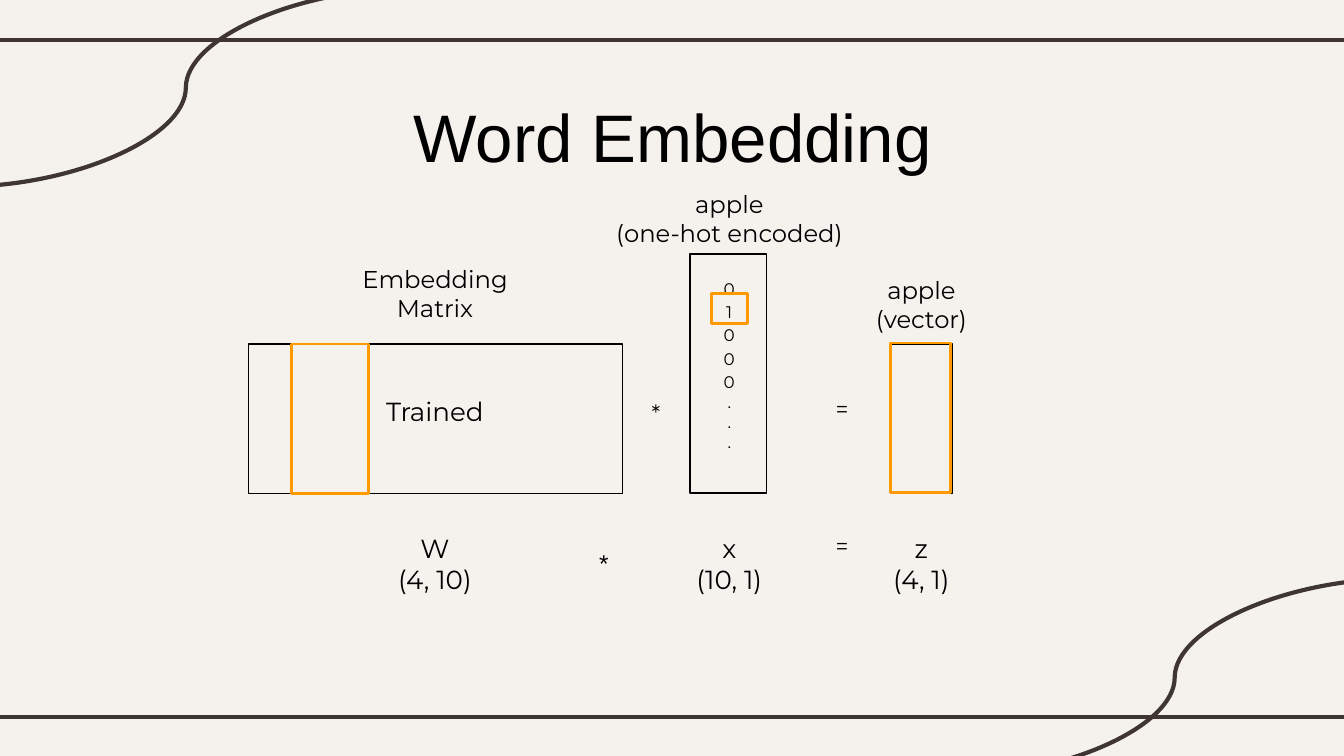
from pptx import Presentation
from pptx.dml.color import RGBColor
from pptx.enum import shapes, text
from pptx.oxml.ns import qn
from pptx.util import Pt
from lxml import etree

INK, BLACK, ORANGE, PAPER = "3F3533", "000000", "FF9900", "F5F2EE"
SANS, BODY = "Arial", "Montserrat"
MATRIX_X, ONE_HOT_X, EQUALS_X, VECTOR_X = 233, 390.7, 451.1, 493.6
CENTER, LEFT = text.PP_ALIGN.CENTER, text.PP_ALIGN.LEFT
STRAIGHT, CURVE = shapes.MSO_CONNECTOR.STRAIGHT, shapes.MSO_CONNECTOR.CURVE

TITLE = "Word Embedding"
DECORATION = [
    (STRAIGHT, -6, 21.5, 726, 21.5),
    (CURVE, 219.5, -6, -20.3, 100),
    (STRAIGHT, -6, 384, 726, 384),
    (CURVE, 749.3, 310, 509.3, 416),
]
BOXES = [
    (133, 184.3, 200.7, 80, BLACK, 0.75),
    (369.6, 136.2, 41.2, 128, BLACK, 0.75),
    (477.2, 184.3, 33, 80, BLACK, 0.75),
    (156.2, 184.3, 41.2, 80, ORANGE, 1.5),
    (381, 157.2, 19.6, 16.2, ORANGE, 1.5),
    (477, 183.8, 32, 80, ORANGE, 1.5),
]
LABELS = [
    (["Embedding", "Matrix"], MATRIX_X, 134.4, 98, 46, 13, BODY, CENTER),
    (["apple", "(one-hot encoded)"], ONE_HOT_X, 94.3, 145.6, 46, 13, BODY, CENTER),
    (["apple", "(vector)"], VECTOR_X, 140.4, 153.4, 46, 13, BODY, CENTER),
    (["Trained"], MATRIX_X, 204.5, 114, 31.7, 14, BODY, CENTER),
    (["W", "(4, 10)"], MATRIX_X, 277.9, 71.4, 48.2, 14, BODY, CENTER),
    (["x", "(10, 1)"], ONE_HOT_X, 277.9, 51, 48.2, 14, BODY, CENTER),
    (["z", "(4, 1)"], VECTOR_X, 277.9, 51, 48.2, 14, BODY, CENTER),
    (list("01000..."), ONE_HOT_X, 140.4, 33, 110, 9, BODY, CENTER),
    (["="], EQUALS_X, 204.5, 24, 28.8, 12, BODY, CENTER),
    (["="], EQUALS_X, 277.9, 24, 28.8, 12, BODY, CENTER),
    (["*"], 351.7, 206.6, 19.4, 28.8, 12, BODY, LEFT),
    (["*"], 323.6, 286.6, 19.4, 30.2, 13, SANS, LEFT),
]


def paint(target, color):
    if hasattr(target, "solid"):
        target.solid()
        target = target.fore_color
    target.rgb = RGBColor.from_string(color)


def write(sp, lines, size, font, align):
    tf = sp.text_frame
    tf.text = "\n".join(lines)
    tf.word_wrap = True
    tf.auto_size = text.MSO_AUTO_SIZE.NONE
    tf.margin_left = tf.margin_right = tf.margin_top = tf.margin_bottom = Pt(7.2)
    for p in tf.paragraphs:
        p.alignment = align
        if p.text in ("0", "1"):
            p.line_spacing = 1.15
        for r in p.runs:
            r.font.size = Pt(size)
            r.font.name = font
            paint(r.font.color, BLACK)


def place(sp, *frame):
    sp.left, sp.top, sp.width, sp.height = map(Pt, frame)


prs = Presentation()
prs.slide_width, prs.slide_height = Pt(720), Pt(405)
s = prs.slides.add_slide(prs.slide_layouts[5])
paint(s.background.fill, PAPER)

for kind, *ends in DECORATION:
    line = s.shapes.add_connector(kind, *map(Pt, ends))
    line.line.width = Pt(2.25)
    paint(line.line.color, INK)
    etree.SubElement(line._element.spPr, qn("a:effectLst"))

title = s.shapes.title
place(title, 160.6, 43.9, 399.6, 57.6)
write(title, [TITLE], 36, SANS, CENTER)
title.text_frame.vertical_anchor = text.MSO_ANCHOR.BOTTOM

for lines, center, top, width, height, size, font, align in LABELS:
    frame = map(Pt, (center - width / 2, top, width, height))
    write(s.shapes.add_textbox(*frame), lines, size, font, align)

for *frame, color, weight in BOXES:
    box = s.shapes.add_shape(shapes.MSO_SHAPE.RECTANGLE, *map(Pt, frame))
    box.shadow.inherit = False
    box.fill.background()
    box.line.width = Pt(weight)
    paint(box.line.color, color)

prs.save("out.pptx")
